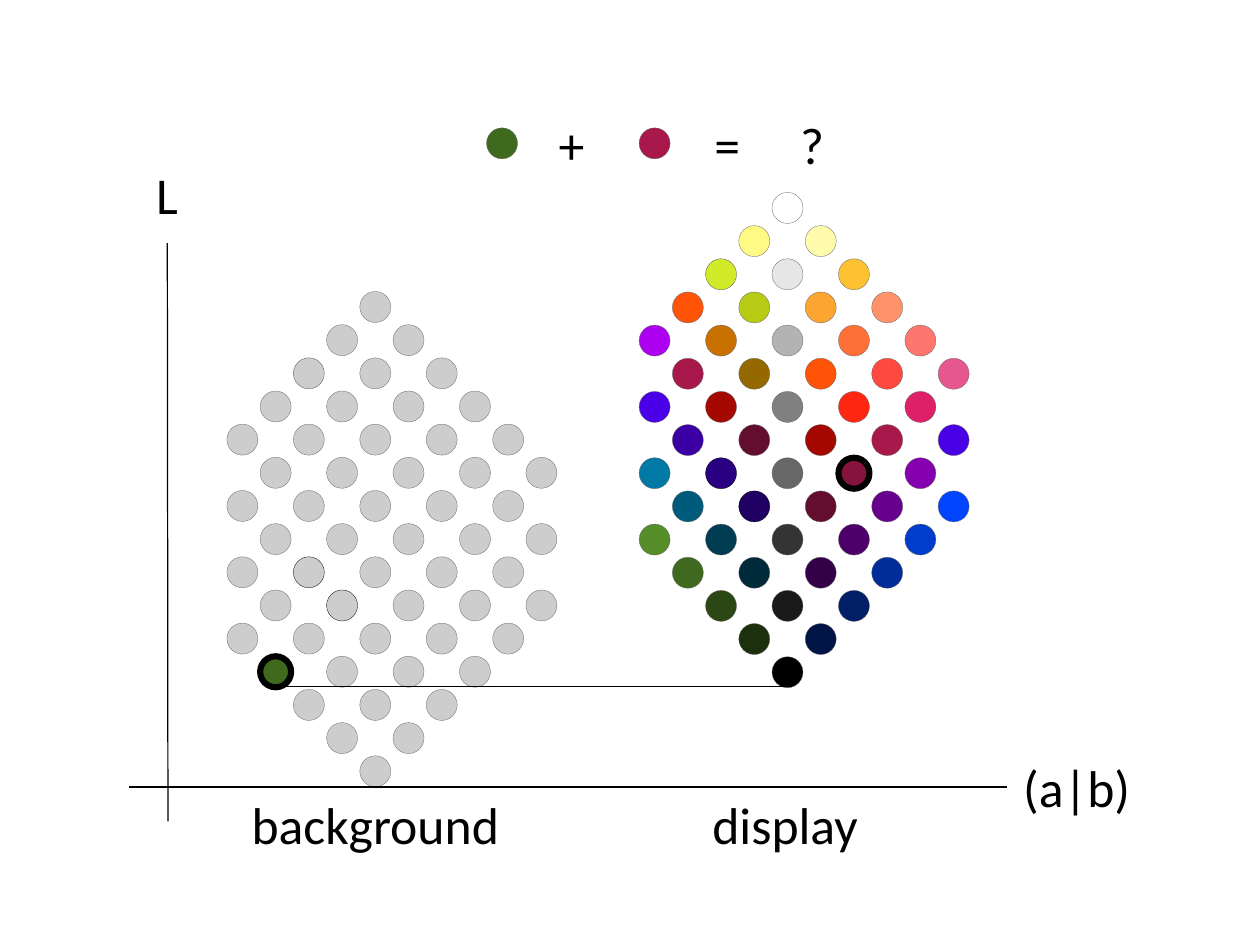
import dataclasses

import lxml.etree
import pptx
import pptx.dml.color
import pptx.enum.shapes
import pptx.enum.text
import pptx.oxml.ns
import pptx.util

Pt = pptx.util.Pt


@dataclasses.dataclass(frozen=True)
class Theme:
    font: str = "Calibri"
    size: float = 42
    ink: str = "000000"
    rim: str = "676767"
    dark_rim: str = "4D4D4D"
    grey: str = "CDCDCD"
    green: str = "3F691D"
    red: str = "A8184B"
    thin: float = 0.25
    line: float = 1
    thick: float = 5
    dot: float = 25.2
    step_x: float = 27
    step_y: float = 26.95
    label: float = 50.4


ROWS = 15
WIDEST = 5

# Display colours, from the lightest row to the darkest
SHADES = [
    "FFFFFF",
    "FFFA83 FFFCAB",
    "D1EB2B E6E6E6 FDC131",
    "FF5308 B7CA14 FDA531 FE936A",
    "AE00F0 C97100 B3B3B3 FE7038 FF766F",
    "A8184B 956900 FF5308 FE4940 E6578D",
    "4A00E6 A40800 808080 FF2712 DD2067",
    "3B00A4 640E2F A40800 A8184B 4A00E6",
    "0079A5 290082 676767 86133E 8500AF",
    "005A7C 200063 640E2F 66008D 0044FE",
    "558E28 003C52 343434 4D0069 003DCC",
    "3F691E 002939 340047 002D99",
    "2B4714 1A1A1A 001F67",
    "1D300D 001445",
    "000000",
]


class Board:
    def __init__(self, slide, theme):
        self.shapes = slide.shapes
        self.theme = theme

    def tint(self, form, shade):
        form.rgb = pptx.dml.color.RGBColor.from_string(shade)

    def dot(self, x, y, fill, rim=None, width=None):
        """Draw a dot centred on x, y."""
        size = self.theme.dot
        shape = self.shapes.add_shape(
            pptx.enum.shapes.MSO_SHAPE.OVAL,
            Pt(x - size / 2), Pt(y - size / 2), Pt(size), Pt(size))
        shape.shadow.inherit = False
        shape.fill.solid()
        self.tint(shape.fill.fore_color, fill)
        self.tint(shape.line.color, rim or self.theme.rim)
        shape.line.width = Pt(width or self.theme.thin)

    def solid(self, x, top, shades, rims, picked):
        """Draw a colour solid as a grid of dots, centred on x.

        Places in rims and picked are (row, index); picked gets a thick rim.
        """
        for row in reversed(range(ROWS)):
            left = min(row, ROWS - 1 - row, WIDEST - 1 - row % 2)
            for index, shade in enumerate(shades[row]):
                place = (row, index)
                chosen = place == picked
                self.dot(
                    x + (2 * index - left) * self.theme.step_x,
                    top + row * self.theme.step_y,
                    shade,
                    self.theme.ink if chosen else rims.get(place),
                    self.theme.thick if chosen else None)

    def line(self, x1, y1, x2, y2):
        link = self.shapes.add_connector(
            pptx.enum.shapes.MSO_CONNECTOR.STRAIGHT,
            Pt(x1), Pt(y1), Pt(x2), Pt(y2))
        self.tint(link.line.color, self.theme.ink)
        link.line.width = Pt(self.theme.line)
        lxml.etree.SubElement(
            link._element.spPr, pptx.oxml.ns.qn("a:effectLst"))

    def label(self, text, left, top, width):
        box = self.shapes.add_textbox(
            Pt(left), Pt(top), Pt(width), Pt(self.theme.label))
        frame = box.text_frame
        frame.text = text
        frame.word_wrap = False
        frame.auto_size = pptx.enum.text.MSO_AUTO_SIZE.SHAPE_TO_FIT_TEXT
        frame.vertical_anchor = pptx.enum.text.MSO_ANCHOR.MIDDLE
        frame.margin_left = frame.margin_right = 0
        frame.margin_top = frame.margin_bottom = 0
        line = frame.paragraphs[0]
        line.alignment = pptx.enum.text.PP_ALIGN.CENTER
        font = line.runs[0].font
        font.name = self.theme.font
        font.size = Pt(self.theme.size)
        self.tint(font.color, self.theme.ink)


def main():
    deck = pptx.Presentation()
    deck.slide_width, deck.slide_height = Pt(1024), Pt(768)
    theme = Theme()
    board = Board(deck.slides.add_slide(deck.slide_layouts[6]), theme)

    shades = [row.split() for row in SHADES]
    greys = [[theme.grey] * len(row) for row in shades]
    picked = (11, 0)
    greys[picked[0]][picked[1]] = theme.green

    board.solid(
        305, 249.5, greys,
        {(2, 0): theme.dark_rim, (8, 1): theme.ink, (9, 1): theme.ink},
        picked)

    board.line(136, 197.5, 136.5, 667.5)
    board.line(105, 639.5, 818, 639.5)
    board.label("L", 124.5, 132.5, 22.5)
    board.label("(a|b)", 826, 614, 98)

    board.solid(
        640, 169, shades,
        {(2, 0): theme.dark_rim, (8, 1): theme.ink, (9, 1): theme.ink},
        (8, 3))
    board.label("background", 186, 644.5, 238)
    board.label("display", 569, 644.5, 138)

    sum_top = 91.5
    sum_mid = 116.5
    board.dot(408, sum_mid, theme.green)
    board.label("+ ", 451.5, sum_top, 35.5)
    board.dot(532, sum_mid, theme.red)
    board.label("= ", 578, sum_top, 35.5)
    board.label("? ", 650, sum_top, 29.5)

    board.line(222, 558, 640, 558)
    deck.save("out.pptx")


if __name__ == "__main__":
    main()
